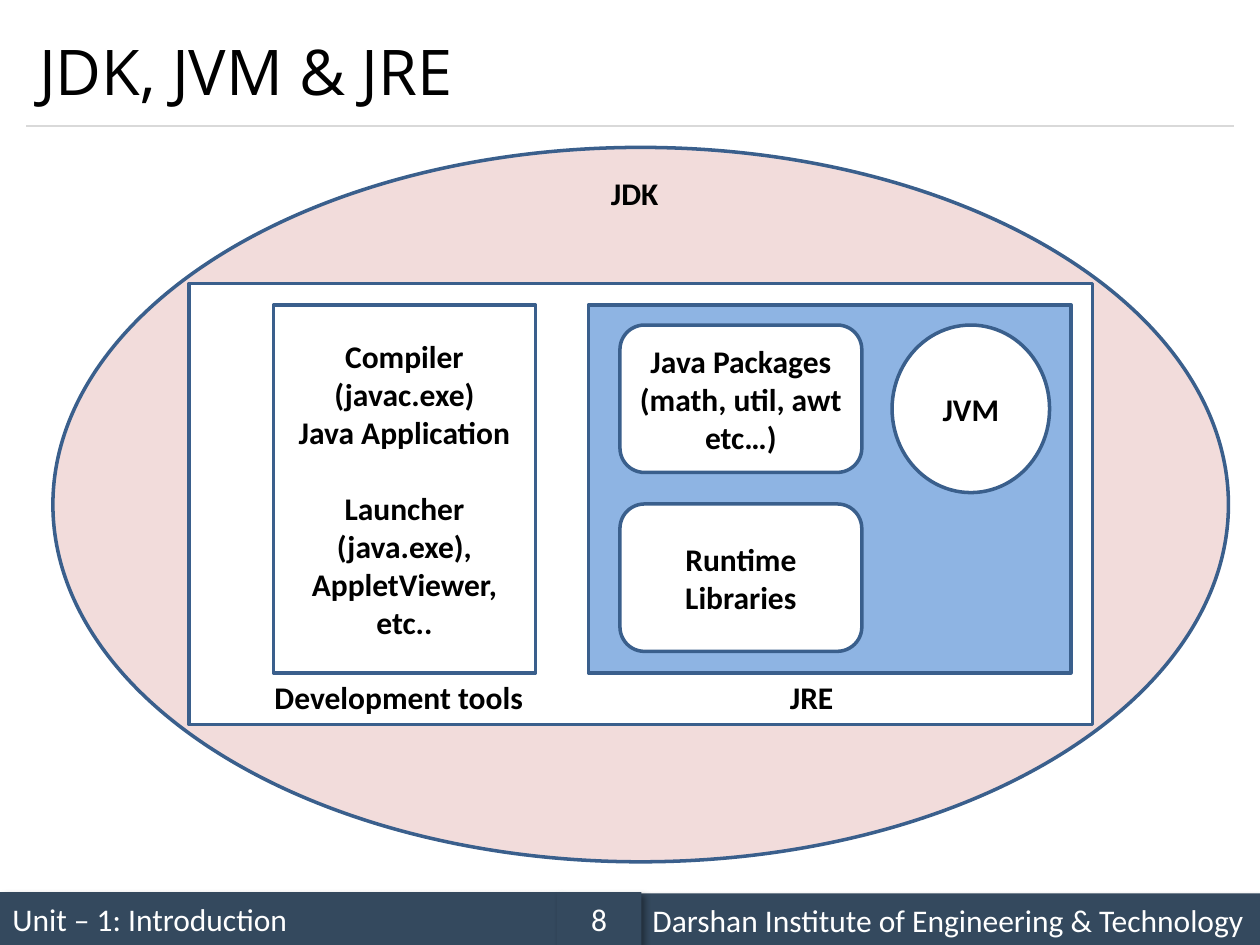
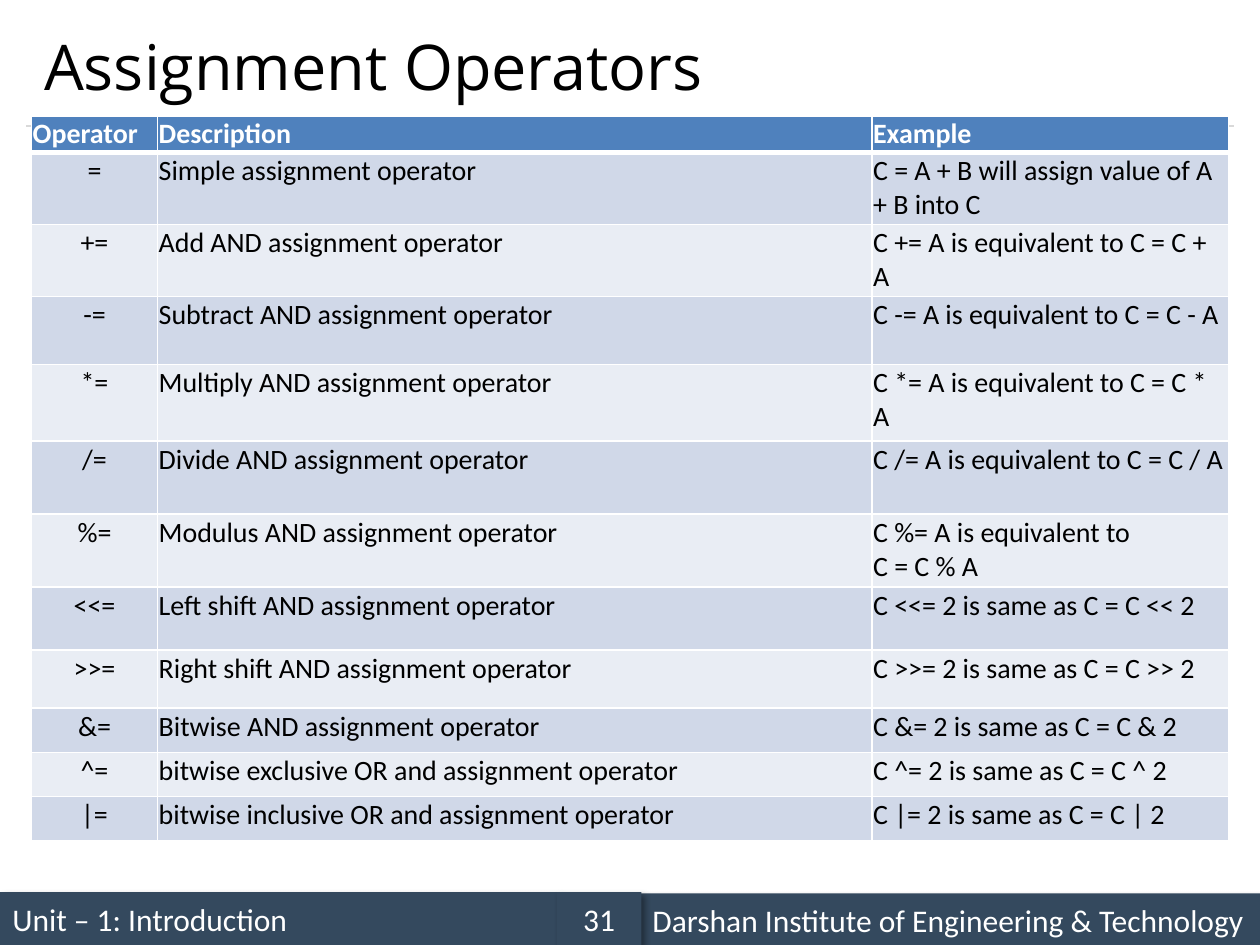
from dataclasses import dataclass

from lxml import etree
from pptx import Presentation
from pptx import util as u
from pptx.dml.color import RGBColor
from pptx.enum import shapes, text
from pptx.oxml import ns, parse_xml

SHAPE = shapes.MSO_SHAPE
ALIGN = text.PP_ALIGN


@dataclass(frozen=True)
class Theme:
    title_font: str = "Open Sans"
    body_font: str = "Calibri"
    title_size: int = 36
    body_size: int = 18
    table_size: int = 16
    black: str = "000000"
    white: str = "FFFFFF"
    footer: str = "34495E"
    rule: str = "D9D9D9"
    outline: str = "3A5F8C"
    jdk: str = "F2DCDB"
    jre: str = "8EB4E3"
    header: str = "4F81BD"
    bands: tuple = ("D0D8E8", "E9EDF4")


def color(value):
    return RGBColor.from_string(value)


def inches(*values):
    return [u.Inches(value) for value in values]


class Deck:
    def __init__(self, theme):
        self.theme = theme
        self.presentation = Presentation()
        self.presentation.slide_width = u.Inches(10)
        self.presentation.slide_height = u.Inches(7.5)
        self.slide = None

    def start_slide(self, title, title_box, number):
        """Add a slide with the shared footer, rule and title."""
        layout = self.presentation.slide_layouts[5]
        self.slide = self.presentation.slides.add_slide(layout)
        self.footer_band("Unit – 1: Introduction", (0, 7.08, 4.42, 0.42))
        self.rule(0.21, 9.79, 1)
        self.footer_band("Darshan Institute of Engineering & Technology",
                         (5.08, 7.09, 4.92, 0.42))
        self.footer_band(str(number), (4.42, 7.08, 0.67, 0.42), ALIGN.CENTER)
        self.title(title, title_box)

    def set_text(self, frame, content, size, ink, bold=False, align=ALIGN.LEFT, font=None):
        frame.text = content
        for paragraph in frame.paragraphs:
            paragraph.alignment = align
            for run in paragraph.runs:
                run.font.name = font or self.theme.body_font
                run.font.size = u.Pt(size)
                run.font.bold = bold
                run.font.color.rgb = color(ink)

    def title(self, content, box):
        shape = self.slide.shapes.title
        shape.left, shape.top, shape.width, shape.height = inches(*box)
        frame = shape.text_frame
        frame.auto_size = text.MSO_AUTO_SIZE.NONE
        frame.vertical_anchor = text.MSO_ANCHOR.MIDDLE
        self.set_text(frame, content, self.theme.title_size, self.theme.black,
                      font=self.theme.title_font)

    def shape(self, kind, box, fill, content="", line=True):
        shape = self.slide.shapes.add_shape(kind, *inches(*box))
        shape.shadow.inherit = False
        shape.fill.solid()
        shape.fill.fore_color.rgb = color(fill)
        if line:
            shape.line.color.rgb = color(self.theme.outline)
            shape.line.width = u.Pt(2)
        else:
            shape.line.fill.background()
        if content:
            shape.text_frame.vertical_anchor = text.MSO_ANCHOR.MIDDLE
            self.set_text(shape.text_frame, content, self.theme.body_size,
                          self.theme.black, bold=True, align=ALIGN.CENTER)
        return shape

    def footer_band(self, content, box, align=ALIGN.LEFT):
        band = self.shape(SHAPE.RECTANGLE, box, self.theme.footer, line=False)
        self.set_text(band.text_frame, content, self.theme.body_size,
                      self.theme.white, align=align)
        effects = band._element.spPr.find(ns.qn("a:effectLst"))
        effects.append(parse_xml(
            f'<a:outerShdw {ns.nsdecls("a")} blurRad="50800" dist="38100" dir="2700000" '
            'algn="tl" rotWithShape="0"><a:srgbClr val="000000">'
            '<a:alpha val="40000"/></a:srgbClr></a:outerShdw>'))

    def rule(self, left, right, top):
        line = self.slide.shapes.add_connector(
            shapes.MSO_CONNECTOR.STRAIGHT, *inches(left, top, right, top))
        line.line.color.rgb = color(self.theme.rule)
        line.line.width = u.Pt(0.75)
        etree.SubElement(line._element.spPr, ns.qn("a:effectLst"))

    def label(self, content, box):
        frame = self.slide.shapes.add_textbox(*inches(*box)).text_frame
        frame.word_wrap = True
        self.set_text(frame, content, self.theme.body_size, self.theme.black, bold=True)

    def table(self, rows, box, widths, heights):
        table = self.slide.shapes.add_table(
            len(rows), len(widths), *inches(*box)).table
        for column, width in zip(table.columns, widths):
            column.width = u.Inches(width)
        for row, height in zip(table.rows, heights):
            row.height = u.Inches(height)
        for row_index, row in enumerate(rows):
            for column_index, content in enumerate(row):
                self.cell(table.cell(row_index, column_index), content,
                          row_index, column_index)

    def cell(self, cell, content, row, column):
        is_header = row == 0
        cell.margin_left = cell.margin_right = u.Inches(0.01)
        cell.margin_top = cell.margin_bottom = u.Inches(0.01)
        cell.fill.solid()
        cell.fill.fore_color.rgb = color(
            self.theme.header if is_header else self.theme.bands[(row - 1) % 2])
        self.set_text(cell.text_frame, content, self.theme.table_size,
                      self.theme.white if is_header else self.theme.black, bold=is_header,
                      align=ALIGN.CENTER if column == 0 and not is_header else ALIGN.LEFT)
        # Borders come before the fill in the cell properties
        widths = {"lnL": 1, "lnR": 1, "lnT": 3 if row == 1 else 1,
                  "lnB": 3 if is_header else 1}
        for index, (side, width) in enumerate(widths.items()):
            cell._tc.get_or_add_tcPr().insert(index, parse_xml(
                f'<a:{side} {ns.nsdecls("a")} w="{u.Pt(width)}"><a:solidFill>'
                f'<a:srgbClr val="{self.theme.white}"/></a:solidFill></a:{side}>'))


def build_jdk_slide(deck):
    theme = deck.theme
    deck.start_slide("JDK, JVM & JRE", (0.21, 0.12, 9.58, 0.88), 8)

    # JDK and its contents
    deck.shape(SHAPE.OVAL, (0.42, 1.17, 9.33, 5.67), theme.jdk)
    deck.shape(SHAPE.RECTANGLE, (1.5, 2.25, 7.17, 3.5), theme.white)
    tools = deck.shape(
        SHAPE.RECTANGLE, (2.17, 2.42, 2.08, 2.92), theme.white,
        "Compiler (javac.exe)\nJava Application\nLauncher (java.exe), AppletViewer, etc..")
    tools.text_frame.paragraphs[-1].space_before = u.Pt(22)

    # JRE and its contents
    deck.shape(SHAPE.RECTANGLE, (4.67, 2.42, 3.83, 2.92), theme.jre)
    parts = ("Java Packages\n(math, util, awt etc…)", "Runtime Libraries")
    for index, part in enumerate(parts):
        deck.shape(SHAPE.ROUNDED_RECTANGLE,
                   (4.92, 2.58 + 1.42 * index, 1.92, 1.17), theme.white, part)
    deck.shape(SHAPE.OVAL, (7.08, 2.58, 1.25, 1.33), theme.white, "JVM")

    # Names of the areas
    deck.label("Development tools", (2.08, 5.33, 2.25, 0.4))
    deck.label("JRE", (6.17, 5.33, 0.65, 0.4))
    deck.label("JDK", (4.75, 1.33, 0.65, 0.4))


def build_operators_slide(deck):
    deck.start_slide("Assignment Operators", (0.25, 0.13, 9, 0.78), 31)
    rows = [
        ("Operator", "Description", "Example"),
        ("=", "Simple assignment operator", "C = A + B will assign value of A + B into C"),
        ("+=", "Add AND assignment operator", "C += A is equivalent to C = C + A"),
        ("-=", "Subtract AND assignment operator", "C -= A is equivalent to C = C - A"),
        ("*=", "Multiply AND assignment operator", "C *= A is equivalent to C = C * A"),
        ("/=", "Divide AND assignment operator", "C /= A is equivalent to C = C / A"),
        ("%=", "Modulus AND assignment operator", "C %= A is equivalent to\nC = C % A"),
        ("<<=", "Left shift AND assignment operator", "C <<= 2 is same as C = C << 2"),
        (">>=", "Right shift AND assignment operator", "C >>= 2 is same as C = C >> 2"),
        ("&=", "Bitwise AND assignment operator", "C &= 2 is same as C = C & 2"),
        ("^=", "bitwise exclusive OR and assignment operator", "C ^= 2 is same as C = C ^ 2"),
        ("|=", "bitwise inclusive OR and assignment operator", "C |= 2 is same as C = C | 2"),
    ]
    heights = (0.29, 0.57, 0.57, 0.54, 0.61, 0.58, 0.58, 0.5, 0.46, 0.35, 0.35, 0.35)
    deck.table(rows, (0.25, 0.92, 9.5, 5.73), (1, 5.67, 2.83), heights)


def main():
    deck = Deck(Theme())
    build_jdk_slide(deck)
    build_operators_slide(deck)
    deck.presentation.save("out.pptx")


if __name__ == "__main__":
    main()
